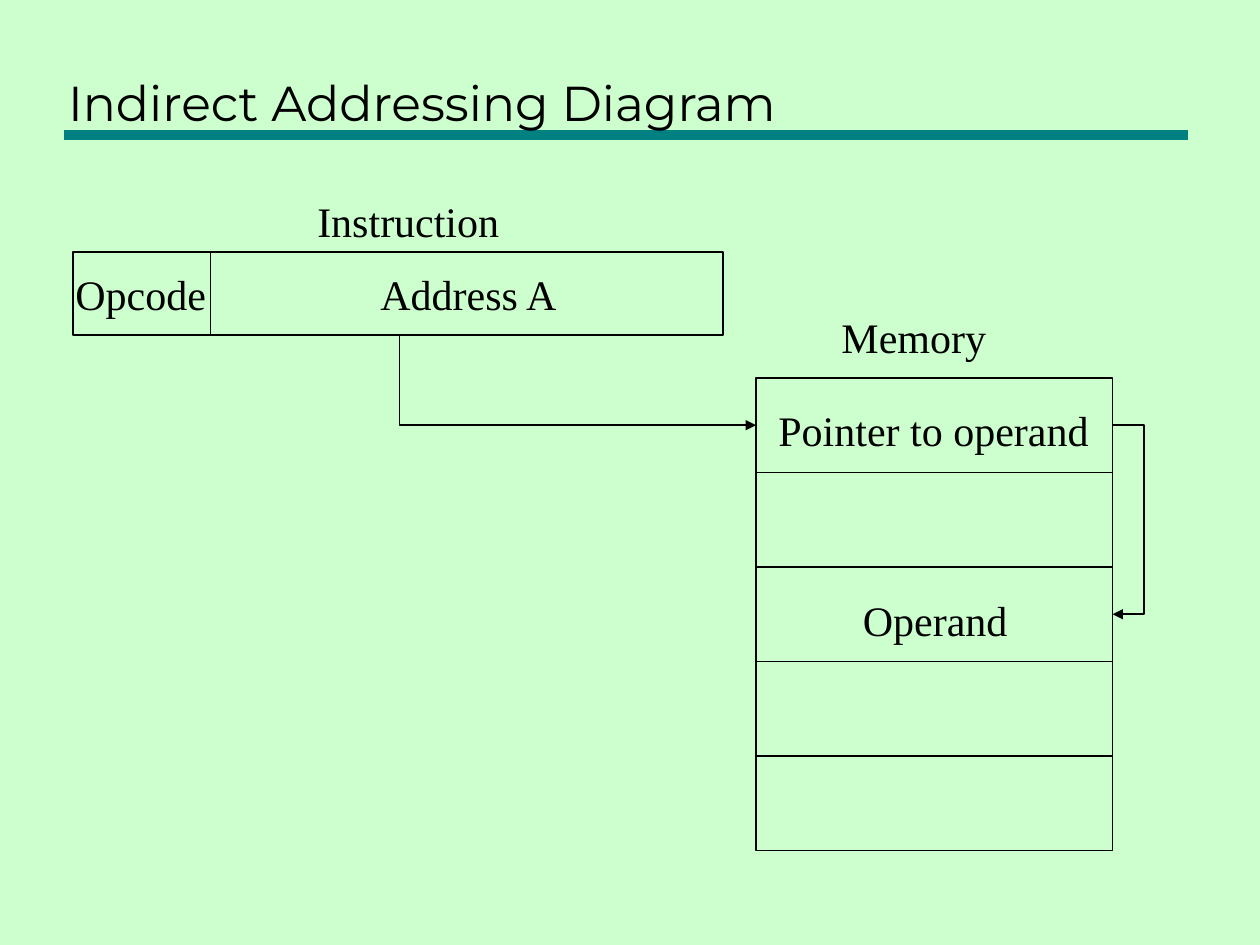
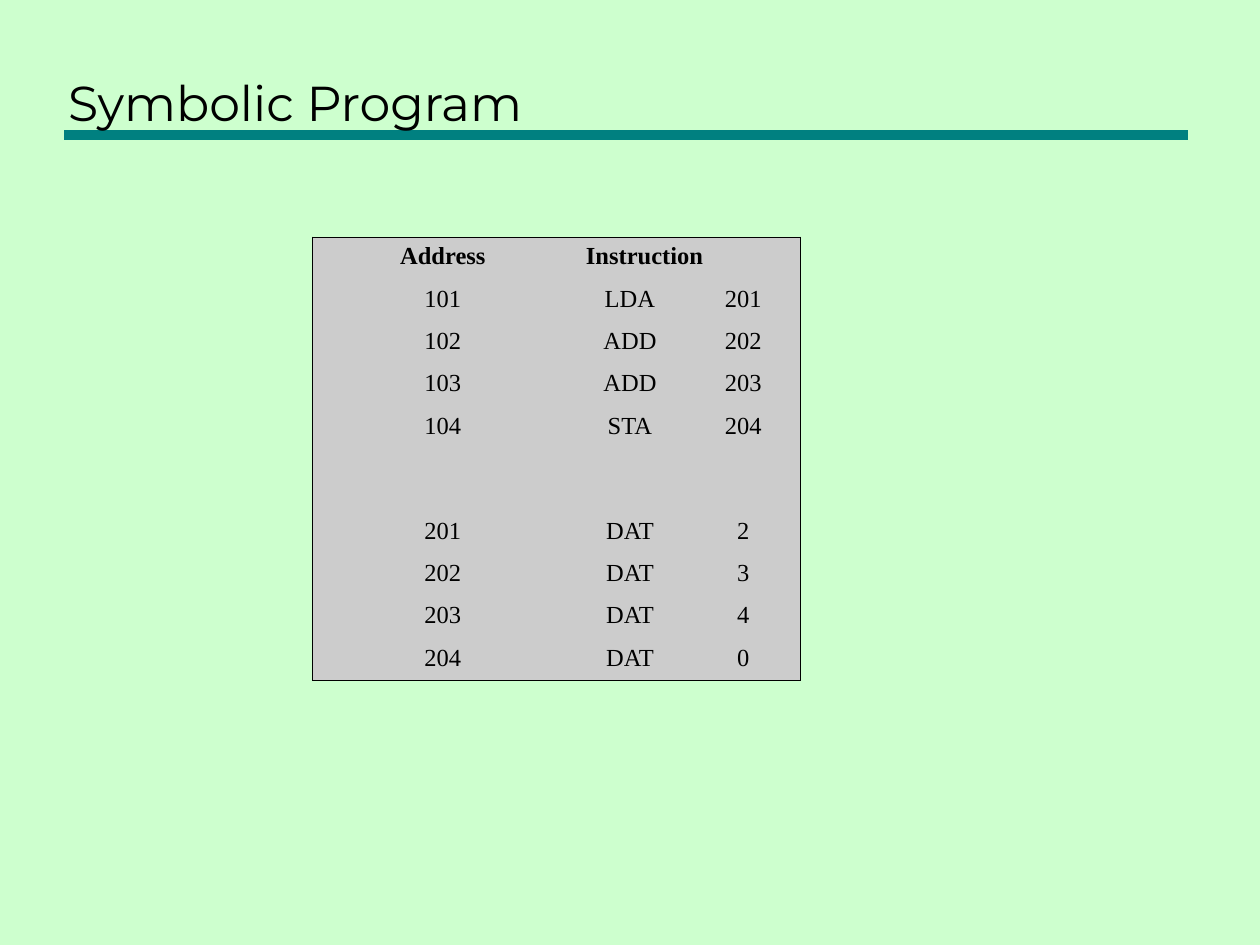
from lxml import etree
from pptx import Presentation
from pptx.dml.color import RGBColor
from pptx.enum.shapes import MSO_CONNECTOR, MSO_SHAPE
from pptx.enum.text import MSO_ANCHOR, MSO_AUTO_SIZE, PP_ALIGN
from pptx.oxml.ns import qn
from pptx.util import Inches, Pt

STRAIGHT, RECT = MSO_CONNECTOR.STRAIGHT, MSO_SHAPE.RECTANGLE
LEFT, CENTER, BOTTOM = PP_ALIGN.LEFT, PP_ALIGN.CENTER, MSO_ANCHOR.BOTTOM
NO_FIT, GROW = MSO_AUTO_SIZE.NONE, MSO_AUTO_SIZE.SHAPE_TO_FIT_TEXT

# Shared style
MINT = RGBColor(0xCD, 0xFF, 0xCE)
TEAL = RGBColor(0x00, 0x80, 0x80)
BLACK = RGBColor(0x00, 0x00, 0x00)
GREY = RGBColor(0xCC, 0xCC, 0xCC)
TITLE_FONT, BODY_FONT = "Montserrat", "Times New Roman"

# Diagram content: label, left, top, width
LABELS = [
    ("Address A", 2.92, 2.08, 1.61),
    ("Opcode", 0.5, 2.08, 1.24),
    ("Instruction", 2.42, 1.5, 1.66),
    ("Memory", 6.58, 2.42, 1.35),
    ("Pointer to operand", 6.08, 3.16, 2.66),
    ("Operand", 6.75, 4.67, 1.35),
]
INSTRUCTION = (0.58, 2, 5.16, 0.66)
OPCODE_END, ADDRESS_EXIT = 1.67, 3.17
MEM_LEFT, MEM_TOP, MEM_W, CELL_H, MEM_CELLS = 6, 3, 2.83, 0.75, 5
POINTER_CELL, OPERAND_CELL = 0, 2
LOOP_W = 0.25

# Program content
PROGRAM = [
    ("Address", "Instruction", ""),
    ("101", "LDA", "201"),
    ("102", "ADD", "202"),
    ("103", "ADD", "203"),
    ("104", "STA", "204"),
    ("", "", ""),
    ("201", "DAT", "2"),
    ("202", "DAT", "3"),
    ("203", "DAT", "4"),
    ("204", "DAT", "0"),
]
COL_WIDTHS = (2.07, 0.9, 0.9)
TABLE_H, GAP_ROW_H = 3.52, 0.5


def write(tf, text, size=24, font=BODY_FONT, bold=False, align=LEFT):
    p = tf.paragraphs[0]
    p.alignment = align
    r = p.add_run()
    r.text = text
    r.font.name, r.font.size, r.font.bold = font, Pt(size), bold
    r.font.color.rgb = BLACK


def style_line(line, color=BLACK, width=1):
    line.color.rgb = color
    line.width = Pt(width)


def add_line(shapes, x1, y1, x2, y2, **style):
    c = shapes.add_connector(STRAIGHT, *map(Inches, (x1, y1, x2, y2)))
    style_line(c.line, **style)
    etree.SubElement(c._element.spPr, qn("a:effectLst"))
    return c


def outline(sp):
    sp.shadow.inherit = False
    sp.fill.background()
    style_line(sp.line)


def add_box(shapes, *box):
    outline(shapes.add_shape(RECT, *map(Inches, box)))


def add_label(s, text, x, y, w):
    tf = s.shapes.add_textbox(*map(Inches, (x, y, w, 0.5))).text_frame
    tf.word_wrap, tf.auto_size = False, GROW
    write(tf, text)


def add_arrow(s, *points):
    start, *rest = [(Inches(x), Inches(y)) for x, y in points]
    builder = s.shapes.build_freeform(*start)
    builder.add_line_segments(rest, close=False)
    sp = builder.convert_to_shape()
    outline(sp)
    etree.SubElement(sp.line._get_or_add_ln(), qn("a:tailEnd"), type="triangle")


def add_slide(prs, title):
    s = prs.slides.add_slide(prs.slide_layouts[5])
    s.background.fill.solid()
    s.background.fill.fore_color.rgb = MINT
    # Rule under the title, behind the text
    rule = add_line(s.shapes, 0.51, 1.07, 9.43, 1.07, color=TEAL, width=6)
    s.shapes._spTree.insert(2, rule._element)
    sp = s.shapes.title
    sp.left, sp.top, sp.width, sp.height = map(Inches, (0.44, 0.17, 8.97, 0.92))
    tf = sp.text_frame
    tf.auto_size, tf.vertical_anchor = NO_FIT, BOTTOM
    write(tf, title, size=28, font=TITLE_FONT)
    return s


def set_borders(cell, visible):
    tcPr = cell._tc.get_or_add_tcPr()
    for i, side in enumerate("LRTB"):
        ln = etree.Element(qn("a:ln" + side), w=str(Pt(0.45)))
        if side in visible:
            fill = etree.SubElement(ln, qn("a:solidFill"))
            etree.SubElement(fill, qn("a:srgbClr"), val=str(BLACK))
        else:
            etree.SubElement(ln, qn("a:noFill"))
        tcPr.insert(i, ln)


def build_diagram(prs):
    s = add_slide(prs, "Indirect Addressing Diagram")
    # Instruction word, split into opcode and address
    _, top, _, height = INSTRUCTION
    bottom = top + height
    group = s.shapes.add_group_shape().shapes
    add_box(group, *INSTRUCTION)
    add_line(group, OPCODE_END, top, OPCODE_END, bottom)
    # Memory cells
    for i in range(MEM_CELLS):
        add_box(s.shapes, MEM_LEFT, MEM_TOP + i * CELL_H, MEM_W, CELL_H)
    for label in LABELS:
        add_label(s, *label)
    # Address to pointer, pointer to operand
    pointer_y, operand_y = (MEM_TOP + (n + 0.5) * CELL_H
                            for n in (POINTER_CELL, OPERAND_CELL))
    right = MEM_LEFT + MEM_W
    add_arrow(s, (ADDRESS_EXIT, bottom), (ADDRESS_EXIT, pointer_y),
              (MEM_LEFT, pointer_y))
    add_arrow(s, (right, pointer_y), (right + LOOP_W, pointer_y),
              (right + LOOP_W, operand_y), (right, operand_y))


def build_program(prs):
    s = add_slide(prs, "Symbolic Program")
    n_rows, n_cols = len(PROGRAM), len(COL_WIDTHS)
    row_h = (TABLE_H - GAP_ROW_H) / (n_rows - 1)
    box = (2.48, 1.88, sum(COL_WIDTHS), TABLE_H)
    table = s.shapes.add_table(n_rows, n_cols, *map(Inches, box)).table
    table.first_row = table.horz_banding = False
    for col, width in zip(table.columns, COL_WIDTHS):
        col.width = Inches(width)
    for row, values in zip(table.rows, PROGRAM):
        row.height = Inches(row_h if any(values) else GAP_ROW_H)
    for i, values in enumerate(PROGRAM):
        for j, text in enumerate(values):
            cell = table.cell(i, j)
            cell.fill.solid()
            cell.fill.fore_color.rgb = GREY
            if text:
                align = LEFT if (i, j) == (0, 1) else CENTER
                write(cell.text_frame, text, size=14, bold=i == 0, align=align)
            # Only the table's outer edge is drawn
            edges = {"L": j == 0, "R": j == n_cols - 1 or (i, j) == (0, 1),
                     "T": i == 0, "B": i == n_rows - 1}
            set_borders(cell, [side for side, on in edges.items() if on])
    table.cell(0, 1).merge(table.cell(0, 2))


def main():
    prs = Presentation()
    prs.slide_width, prs.slide_height = Inches(10), Inches(7.5)
    build_diagram(prs)
    build_program(prs)
    prs.save("out.pptx")


if __name__ == "__main__":
    main()
